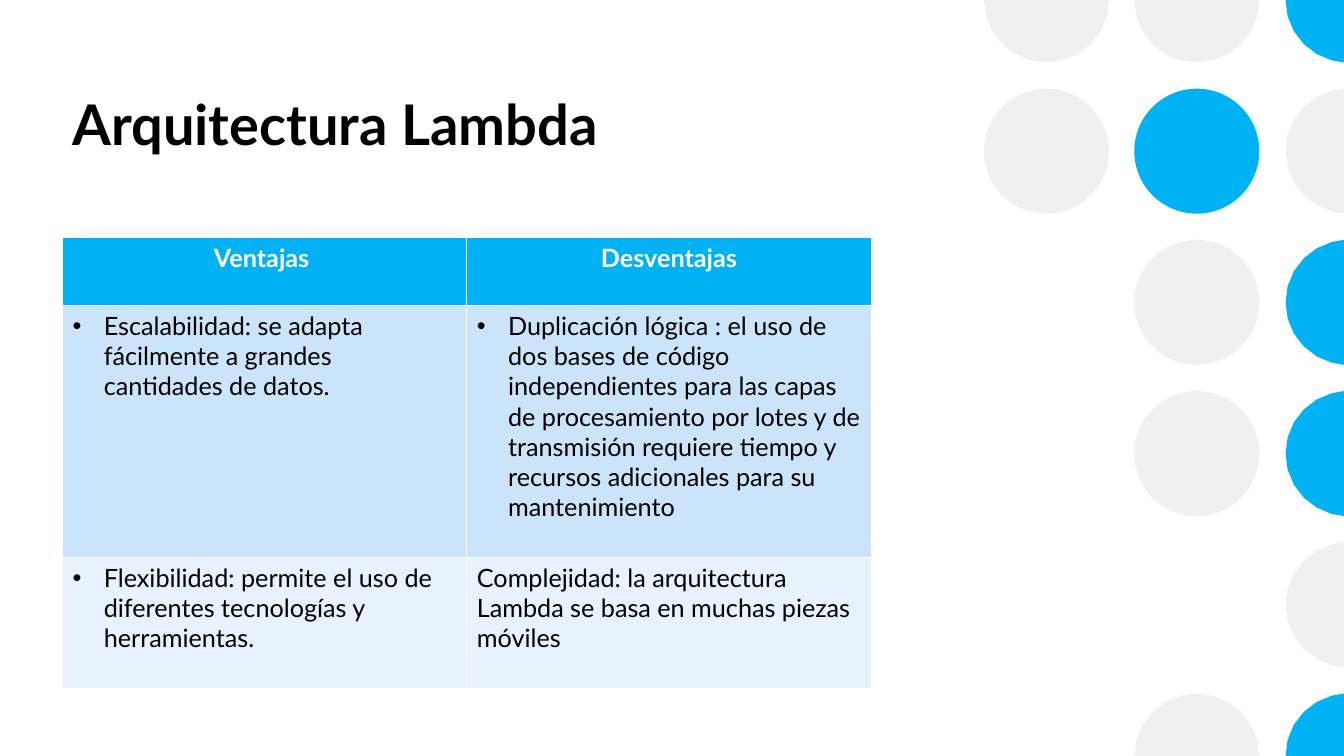
from math import cos, pi, sin

from lxml import etree
from pptx import Presentation
from pptx.dml.color import RGBColor
from pptx.enum.shapes import MSO_SHAPE
from pptx.enum.text import MSO_ANCHOR, MSO_AUTO_SIZE, PP_ALIGN
from pptx.oxml.ns import qn
from pptx.util import Inches, Pt

OVAL = MSO_SHAPE.OVAL
TOP = MSO_ANCHOR.TOP
NO_FIT = MSO_AUTO_SIZE.NONE
LEFT, CENTER = PP_ALIGN.LEFT, PP_ALIGN.CENTER

WIDTH, HEIGHT = 13.33, 7.5
FONT = "Lato"
BLUE, GRAY = "00B2F3", "EFF0EF"
BLACK, WHITE = "000000", "FFFFFF"
RADIUS, STEP = 0.62, 1.5
QUARTER = 6
COLUMNS = (10.38, 11.87, 13.37)
DOTS = ("GGB", "GBG", " GB", " GB", "  G", " GB")

ROWS = (
    ("Ventajas ", "Desventajas"),
    ("Escalabilidad: se adapta fácilmente a grandes cantidades de datos.",
     "Duplicación lógica : el uso de dos bases de código independientes para "
     "las capas de procesamiento por lotes y de transmisión requiere tiempo y "
     "recursos adicionales para su mantenimiento"),
    ("Flexibilidad: permite el uso de diferentes tecnologías y herramientas.",
     "Complejidad: la arquitectura Lambda se basa en muchas piezas móviles"),
)
HEIGHTS = (0.67, 2.5, 1.3)
FILLS = (BLUE, "CCE4FA", "E7F2FD")
PLAIN = (2, 1)


def color(code):
    """Turn a hex string into a colour."""
    return RGBColor.from_string(code)


def paint(shape, code):
    """Give a shape a flat fill without line or shadow."""
    shape.shadow.inherit = False
    shape.fill.solid()
    shape.fill.fore_color.rgb = color(code)
    shape.line.fill.background()


def add_run(para, text, size, code, bold):
    """Add one formatted run to a paragraph."""
    run = para.add_run()
    run.text = text
    run.font.name = FONT
    run.font.size = Pt(size)
    run.font.bold = bold
    run.font.color.rgb = color(code)


def add_bullet(para):
    """Give a paragraph a hanging bullet."""
    para.space_before = Pt(9)
    props = para._p.get_or_add_pPr()
    props.set("marL", str(Inches(0.31)))
    props.set("indent", str(-Inches(0.31)))
    etree.SubElement(props, qn("a:buFont")).set("typeface", "Arial")
    etree.SubElement(props, qn("a:buChar")).set("char", "•")


def trim(x, y):
    """List the outline points of a circle cut at the slide edges."""
    points = []
    last = 4 * QUARTER
    steps = range(QUARTER, 3 * QUARTER + 1) if x > WIDTH else range(last)
    for i in steps:
        angle = i * pi / (2 * QUARTER)
        px, py = x + RADIUS * cos(angle), y + RADIUS * sin(angle)
        if 0 <= py <= HEIGHT or i % QUARTER == 0:
            points.append((Inches(min(px, WIDTH)),
                           Inches(min(max(py, 0), HEIGHT))))
    return points


def add_dot(slide, x, y, code):
    """Draw a circle, cut off where it meets the slide edge."""
    if x < WIDTH and 0 < y < HEIGHT:
        dot = slide.shapes.add_shape(
            OVAL, Inches(x - RADIUS), Inches(y - RADIUS),
            Inches(2 * RADIUS), Inches(2 * RADIUS))
    else:
        points = trim(x, y)
        outline = slide.shapes.build_freeform(*points[0])
        outline.add_line_segments(points[1:], close=True)
        dot = outline.convert_to_shape()
    paint(dot, code)


def add_dots(slide):
    """Draw the grid of dots on the right."""
    for row, marks in enumerate(DOTS):
        for x, mark in zip(COLUMNS, marks):
            if mark != " ":
                add_dot(slide, x, row * STEP, BLUE if mark == "B" else GRAY)


def set_title(slide, text):
    """Place and fill the title."""
    title = slide.shapes.title
    title.left, title.top = Inches(0.62), Inches(0.84)
    title.width, title.height = Inches(8.02), Inches(1.39)
    frame = title.text_frame
    frame.auto_size = NO_FIT
    frame.vertical_anchor = TOP
    para = frame.paragraphs[0]
    para.alignment = LEFT
    para.line_spacing = 1.0
    add_run(para, text, 40, BLACK, True)


def add_grid(slide):
    """Add the table of pros and cons."""
    frame = slide.shapes.add_table(
        len(ROWS), 2, Inches(0.62), Inches(2.36),
        Inches(8.02), Inches(sum(HEIGHTS)))
    table = frame.table
    for r, texts in enumerate(ROWS):
        table.rows[r].height = Inches(HEIGHTS[r])
        for c, text in enumerate(texts):
            cell = table.cell(r, c)
            cell.fill.solid()
            cell.fill.fore_color.rgb = color(FILLS[r])
            para = cell.text_frame.paragraphs[0]
            head = r == 0
            para.alignment = CENTER if head else LEFT
            if not head and (r, c) != PLAIN:
                add_bullet(para)
            add_run(para, text, 18, WHITE if head else BLACK, head)


def main():
    """Build and save the slide."""
    deck = Presentation()
    deck.slide_width, deck.slide_height = Inches(WIDTH), Inches(HEIGHT)
    slide = deck.slides.add_slide(deck.slide_layouts[5])
    add_dots(slide)
    set_title(slide, "Arquitectura Lambda")
    add_grid(slide)
    deck.save("out.pptx")


if __name__ == "__main__":
    main()
